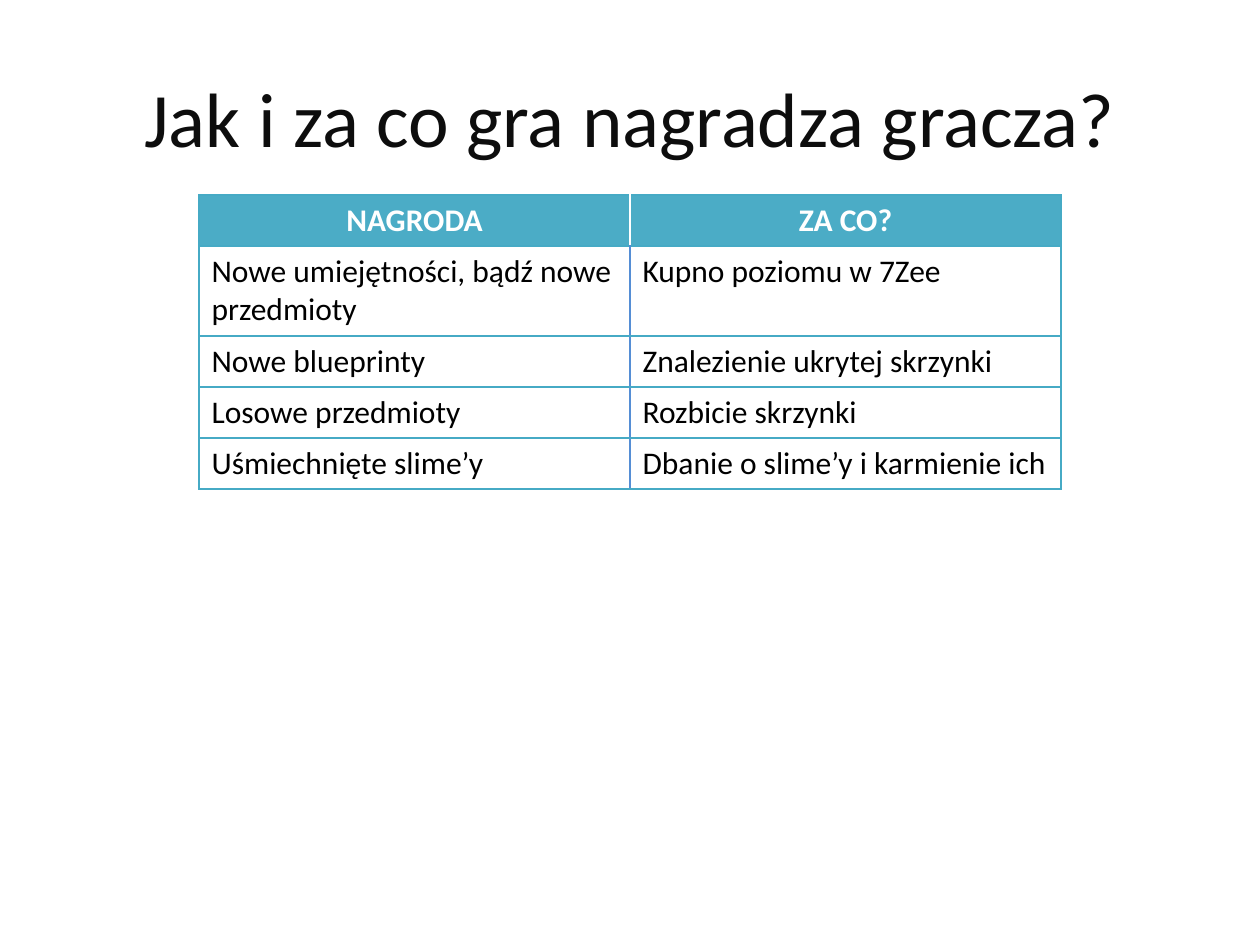
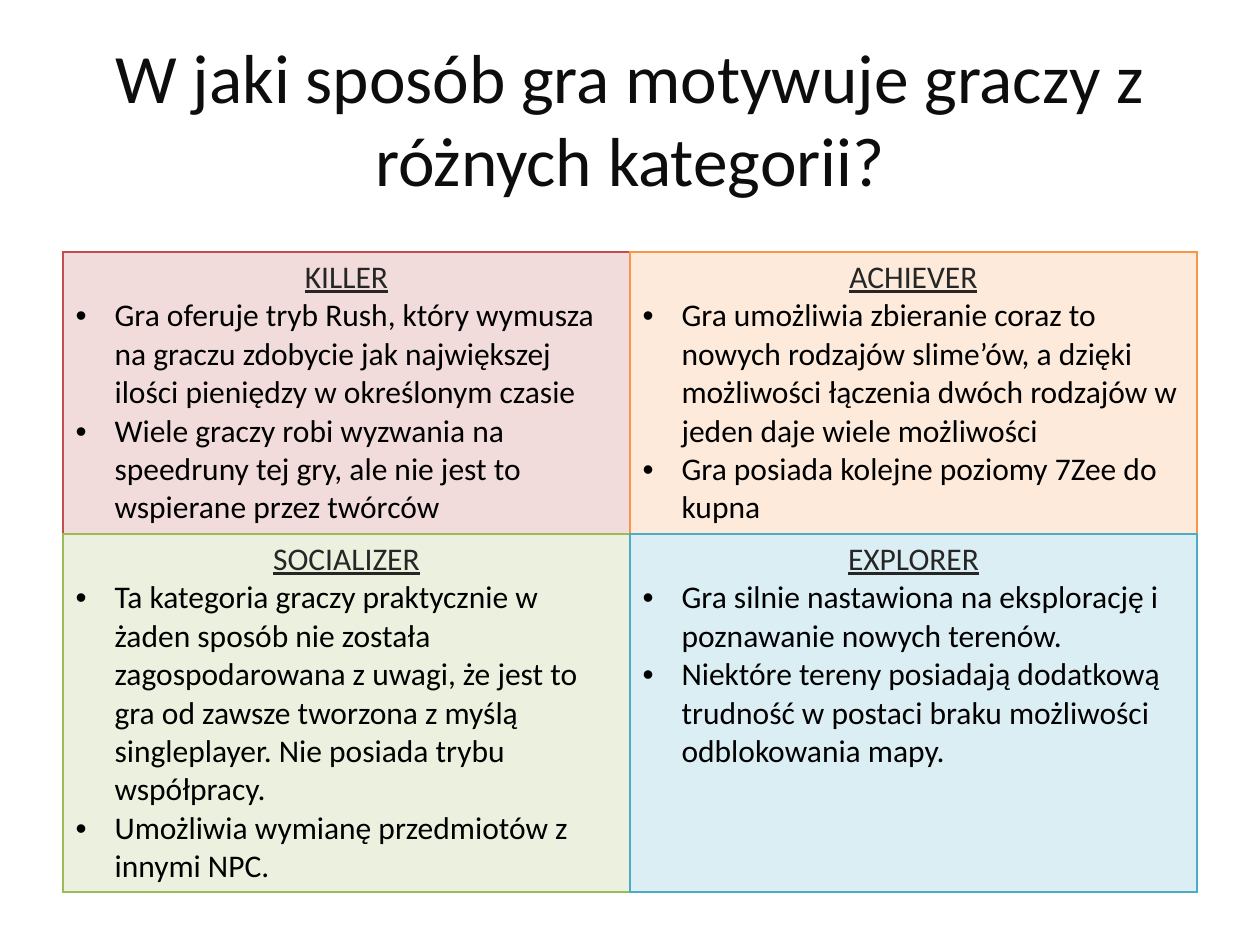
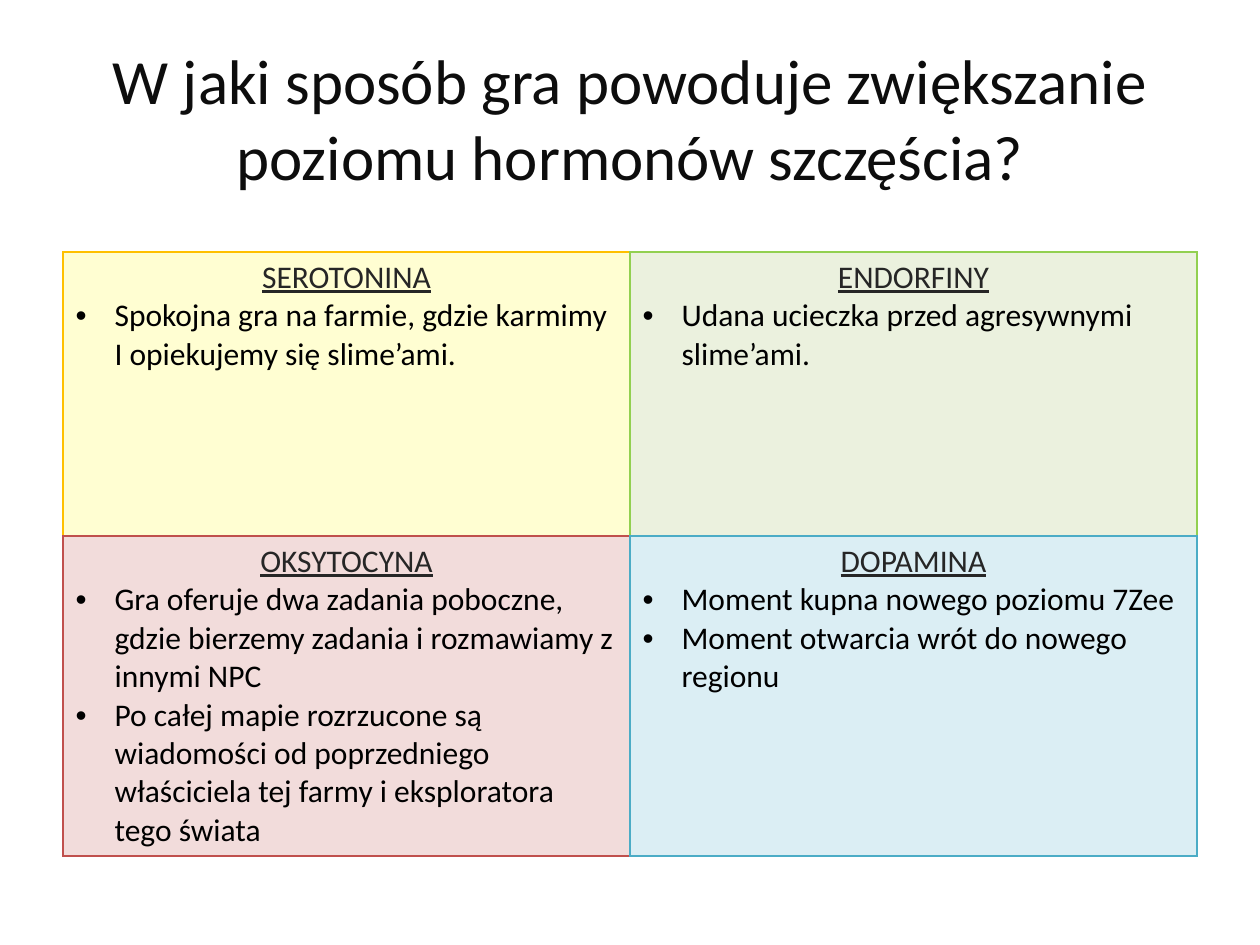
from lxml.etree import SubElement
from pptx import Presentation
from pptx.dml.color import RGBColor
from pptx.enum.text import MSO_ANCHOR, PP_ALIGN
from pptx.oxml import parse_xml
from pptx.oxml.ns import nsdecls, qn
from pptx.util import Pt

PX = 914400 / 126
FONT = "Calibri"
TITLE, HEADING, BODY, WHITE = "0D0D0D", "262626", "000000", "FFFFFF"
TEAL, TEAL_LINE, BLUE_LINE = "4BACC6", "46AAC5", "558ED5"
RED, ORANGE, GREEN, LIME, GOLD = "C0504D", "F79646", "9BBB59", "92D050", "FFC000"
PINK, PEACH, SAGE, ICE, CREAM = "F2DCDB", "FDEADA", "EBF1DE", "DBEEF4", "FFFED2"


def set_font(p, size, color, bold=False, underline=False):
    p.font.name = FONT
    p.font.size = Pt(size)
    p.font.bold = bold
    p.font.underline = underline
    p.font.color.rgb = RGBColor.from_string(color)


def set_borders(cell, **sides):
    tcPr = cell._tc.get_or_add_tcPr()
    for side in "LRTB":
        color, width = sides[side]
        ln = SubElement(tcPr, qn("a:ln" + side), w=str(Pt(width)))
        fill = SubElement(ln, qn("a:solidFill"))
        SubElement(fill, qn("a:srgbClr"), val=color)


rewards = [
    ("NAGRODA", "ZA CO?"),
    ("Nowe umiejętności, bądź nowe przedmioty", "Kupno poziomu w 7Zee"),
    ("Nowe blueprinty", "Znalezienie ukrytej skrzynki"),
    ("Losowe przedmioty", "Rozbicie skrzynki"),
    ("Uśmiechnięte slime’y", "Dbanie o slime’y i karmienie ich"),
]
player_types = [
    [("KILLER", PINK, RED, [
        "Gra oferuje tryb Rush, który wymusza na graczu zdobycie jak największej ilości pieniędzy w określonym czasie",
        "Wiele graczy robi wyzwania na speedruny tej gry, ale nie jest to wspierane przez twórców"]),
     ("ACHIEVER", PEACH, ORANGE, [
        "Gra umożliwia zbieranie coraz to nowych rodzajów slime’ów, a dzięki możliwości łączenia dwóch rodzajów w jeden daje wiele możliwości",
        "Gra posiada kolejne poziomy 7Zee do kupna"])],
    [("SOCIALIZER", SAGE, GREEN, [
        "Ta kategoria graczy praktycznie w żaden sposób nie została zagospodarowana z uwagi, że jest to gra od zawsze tworzona z myślą singleplayer. Nie posiada trybu współpracy.",
        "Umożliwia wymianę przedmiotów z innymi NPC."]),
     ("EXPLORER", ICE, TEAL, [
        "Gra silnie nastawiona na eksplorację i poznawanie nowych terenów.",
        "Niektóre tereny posiadają dodatkową trudność w postaci braku możliwości odblokowania mapy."])],
]
hormones = [
    [("SEROTONINA", CREAM, GOLD, [
        "Spokojna gra na farmie, gdzie karmimy I opiekujemy się slime’ami."]),
     ("ENDORFINY", SAGE, LIME, [
        "Udana ucieczka przed agresywnymi slime’ami."])],
    [("OKSYTOCYNA", PINK, RED, [
        "Gra oferuje dwa zadania poboczne, gdzie bierzemy zadania i rozmawiamy z innymi NPC",
        "Po całej mapie rozrzucone są wiadomości od poprzedniego właściciela tej farmy i eksploratora tego świata"]),
     ("DOPAMINA", ICE, TEAL, [
        "Moment kupna nowego poziomu 7Zee",
        "Moment otwarcia wrót do nowego regionu"])],
]
slides = [
    ("Jak i za co gra nagradza gracza?", 44, (199, 195, 862), [51, 90, 51, 51, 51]),
    ("W jaki sposób gra motywuje graczy z różnych kategorii?", 39.6, (63, 252, 1134), [282, 358]),
    ("W jaki sposób gra powoduje zwiększanie poziomu hormonów szczęścia?", 36, (63, 252, 1134), [284, 320]),
]

prs = Presentation()
prs.slide_width = int(1260 * PX)
prs.slide_height = int(945 * PX)

tables = []
for title, size, place, heights in slides:
    s = prs.slides.add_slide(prs.slide_layouts[6])
    sp = s.shapes.add_textbox(*[int(v * PX) for v in (63, 38, 1134, 158)])
    tf = sp.text_frame
    tf.word_wrap = True
    tf.vertical_anchor = MSO_ANCHOR.MIDDLE
    p = tf.paragraphs[0]
    p.text = title
    p.alignment = PP_ALIGN.CENTER
    set_font(p, size, TITLE)

    box = [int(v * PX) for v in (*place, sum(heights))]
    table = s.shapes.add_table(len(heights), 2, *box).table
    table.first_row = table.horz_banding = False
    for row, height in zip(table.rows, heights):
        row.height = int(height * PX)
    tables.append(table)

outer = (TEAL_LINE, 0.75)
for i, texts in enumerate(rewards):
    header = i == 0
    middle = (WHITE if header else BLUE_LINE, 1)
    for j, text in enumerate(texts):
        cell = tables[0].cell(i, j)
        set_borders(cell, L=middle if j else outer, R=outer if j else middle, T=outer, B=outer)
        p = cell.text_frame.paragraphs[0]
        p.text = text
        set_font(p, 18, WHITE if header else BODY, bold=header)
        if header:
            p.alignment = PP_ALIGN.CENTER
            cell.fill.solid()
            cell.fill.fore_color.rgb = RGBColor.from_string(TEAL)
        else:
            cell.fill.background()

for table, grid in zip(tables[1:], (player_types, hormones)):
    for i, row in enumerate(grid):
        for j, (heading, fill, line, points) in enumerate(row):
            cell = table.cell(i, j)
            own, right, below = (line, 1), (row[1][2], 1), (grid[1][j][2], 1)
            set_borders(cell, L=own, R=right, T=own, B=below)
            cell.fill.solid()
            cell.fill.fore_color.rgb = RGBColor.from_string(fill)
            tf = cell.text_frame
            p = tf.paragraphs[0]
            p.text = heading
            p.alignment = PP_ALIGN.CENTER
            set_font(p, 18, HEADING, underline=True)
            for point in points:
                p = tf.add_paragraph()
                p.text = point
                set_font(p, 18, BODY)
                pPr = p._p.get_or_add_pPr()
                pPr.set("marL", str(int(39 * PX)))
                pPr.set("indent", str(int(-39 * PX)))
                pPr.insert(0, parse_xml(f'<a:buFont {nsdecls("a")} typeface="Arial"/>'))
                pPr.insert(1, parse_xml(f'<a:buChar {nsdecls("a")} char="•"/>'))

prs.save("out.pptx")
